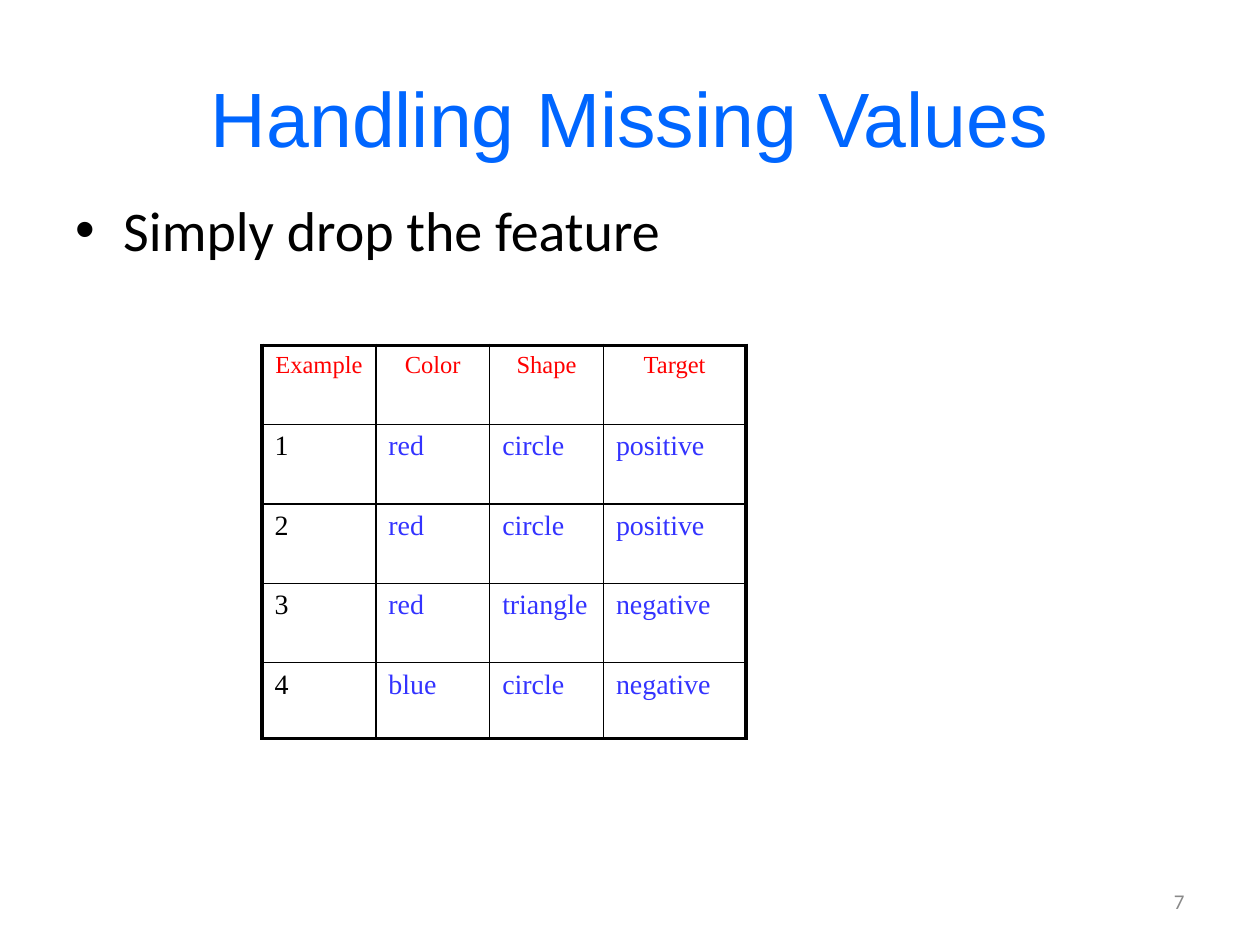
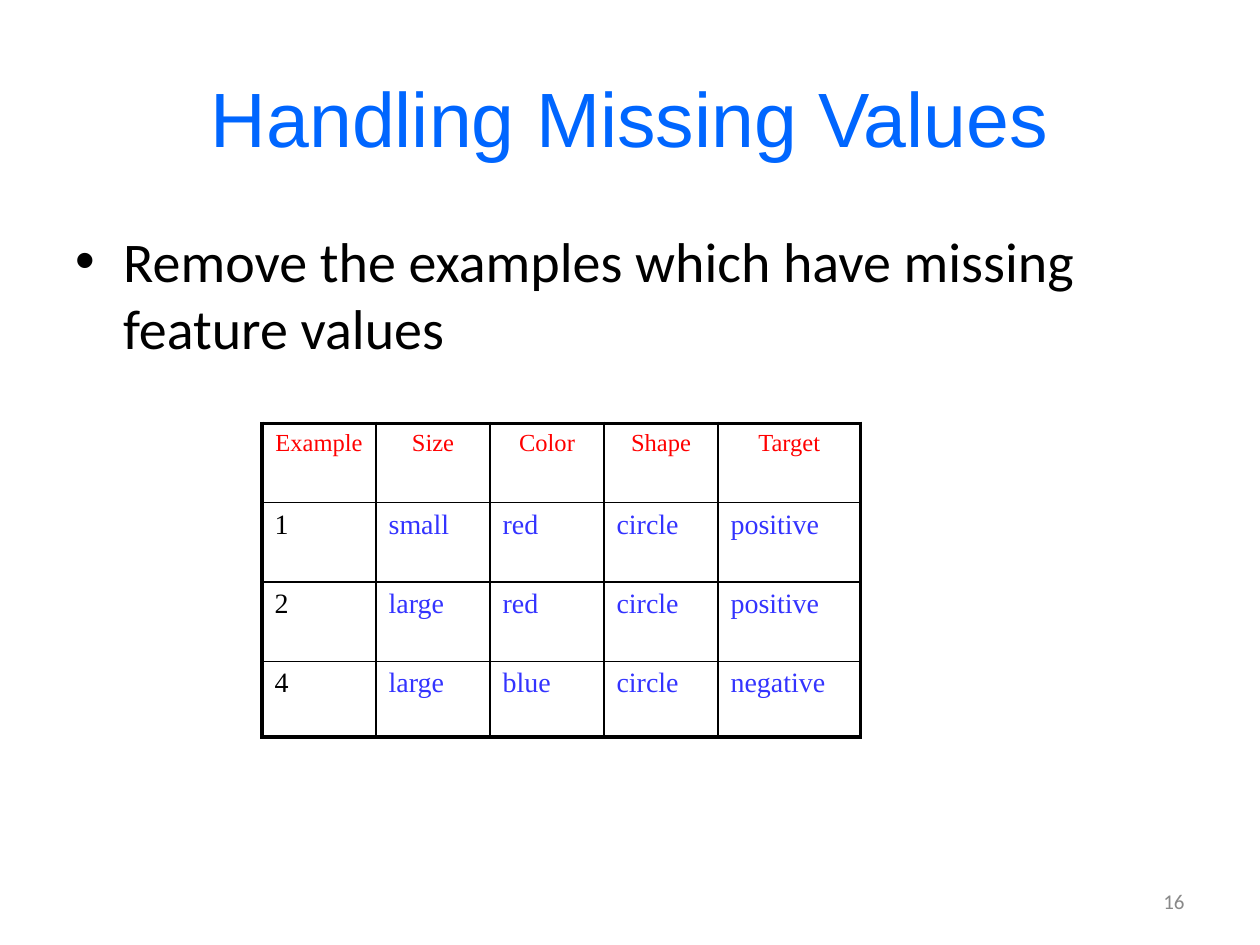
from pptx import Presentation
from pptx.dml.color import RGBColor
from pptx.enum.text import MSO_ANCHOR, PP_ALIGN
from pptx.oxml.ns import qn
from pptx.util import Inches, Pt
from lxml import etree

MID, TOP = MSO_ANCHOR.MIDDLE, MSO_ANCHOR.TOP
LEFT, MIDST, RIGHT = PP_ALIGN.LEFT, PP_ALIGN.CENTER, PP_ALIGN.RIGHT

SLIDES = [
    dict(
        title="Handling Missing Values", page="7",
        point="Simply drop the feature", top=1.5,
        grid=(2.74, 3.84),
        rows=[
            ("Example", "Color", "Shape", "Target"),
            ("1", "red", "circle", "positive"),
            ("2", "red", "circle", "positive"),
            ("3", "red", "triangle", "negative"),
            ("4", "blue", "circle", "negative"),
        ],
    ),
    dict(
        title="Handling Missing Values", page="16",
        point="Remove the examples which have missing feature values", top=1.75,
        grid=(3.36, 4.75),
        rows=[
            ("Example", "Size", "Color", "Shape", "Target"),
            ("1", "small", "red", "circle", "positive"),
            ("2", "large", "red", "circle", "positive"),
            ("4", "large", "blue", "circle", "negative"),
        ],
    ),
]

WIDE, HIGH = 10, 7.5
EDGE, SPAN, FLOOR = 0.5, 9, 7.17
GRID_X, LAST_COL = 2.08, 1.13
ROW, LAST_ROW = 0.63, 0.6
THICK, THIN = 2.25, 1
BLACK, HEAD, VALUE = "000000", "FF0000", "3333FF"
TITLE = ("Arial", 44, "0066FF")
BODY = ("Calibri", 32, BLACK)
FOOT = ("Calibri", 12, "898989")
SERIF = "Times New Roman"


def color(code):
    return RGBColor.from_string(code)


def write(frame, text, look, align=LEFT):
    frame.text = text
    frame.word_wrap = True
    para = frame.paragraphs[0]
    para.alignment = align
    para.space_before = Pt(0)
    for run in para.runs:
        font = run.font
        font.name, font.size = look[0], Pt(look[1])
        font.color.rgb = color(look[2])


def place(shape, *box):
    shape.left, shape.top, shape.width, shape.height = map(Inches, box)


def label(slide, box, text, look, align=LEFT, anchor=TOP):
    shape = slide.shapes.add_textbox(*map(Inches, box))
    write(shape.text_frame, text, look, align)
    shape.text_frame.vertical_anchor = anchor
    return shape


def bullet(shape):
    props = shape.text_frame.paragraphs[0]._p.get_or_add_pPr()
    props.set("marL", str(Inches(0.38)))
    props.set("indent", str(-Inches(0.38)))
    etree.SubElement(props, qn("a:buFont"), typeface="Arial")
    etree.SubElement(props, qn("a:buChar"), char="•")


def border(cell, sides):
    props = cell._tc.get_or_add_tcPr()
    for spot, (side, bold) in enumerate(sides):
        line = etree.Element(qn("a:ln" + side), w=str(Pt(THICK if bold else THIN)))
        fill = etree.SubElement(line, qn("a:solidFill"))
        etree.SubElement(fill, qn("a:srgbClr"), val=BLACK)
        props.insert(spot, line)


def table(slide, rows, top, width):
    down, across = len(rows), len(rows[0])
    tall = ROW * (down - 1) + LAST_ROW
    box = map(Inches, (GRID_X, top, width, tall))
    grid = slide.shapes.add_table(down, across, *box).table
    grid.first_row = grid.horz_banding = False
    step = (width - LAST_COL) / (across - 1)
    for c, col in enumerate(grid.columns):
        col.width = Inches(LAST_COL if c == across - 1 else step)
    for r, row in enumerate(grid.rows):
        row.height = Inches(LAST_ROW if r == down - 1 else ROW)
    for r, words in enumerate(rows):
        for c, word in enumerate(words):
            cell = grid.cell(r, c)
            cell.fill.background()
            if r == 0:
                write(cell.text_frame, word, (SERIF, 14, HEAD), MIDST)
            else:
                write(cell.text_frame, word, (SERIF, 16, VALUE if c else BLACK))
            border(cell, [("L", c == 0), ("R", c == across - 1),
                          ("T", r == 0), ("B", r == down - 1)])


def build(deck, data):
    slide = deck.slides.add_slide(deck.slide_layouts[5])
    title = slide.shapes.title
    place(title, EDGE, 0.3, SPAN, 1.25)
    write(title.text_frame, data["title"], TITLE, MIDST)
    title.text_frame.vertical_anchor = MID
    top = data["top"]
    bullet(label(slide, (EDGE, top, SPAN, FLOOR - top), data["point"], BODY))
    label(slide, (FLOOR, 6.95, 2.33, 0.4), data["page"], FOOT, RIGHT, MID)
    table(slide, data["rows"], *data["grid"])


def main():
    deck = Presentation()
    deck.slide_width, deck.slide_height = Inches(WIDE), Inches(HIGH)
    for data in SLIDES:
        build(deck, data)
    deck.save("out.pptx")


if __name__ == "__main__":
    main()
